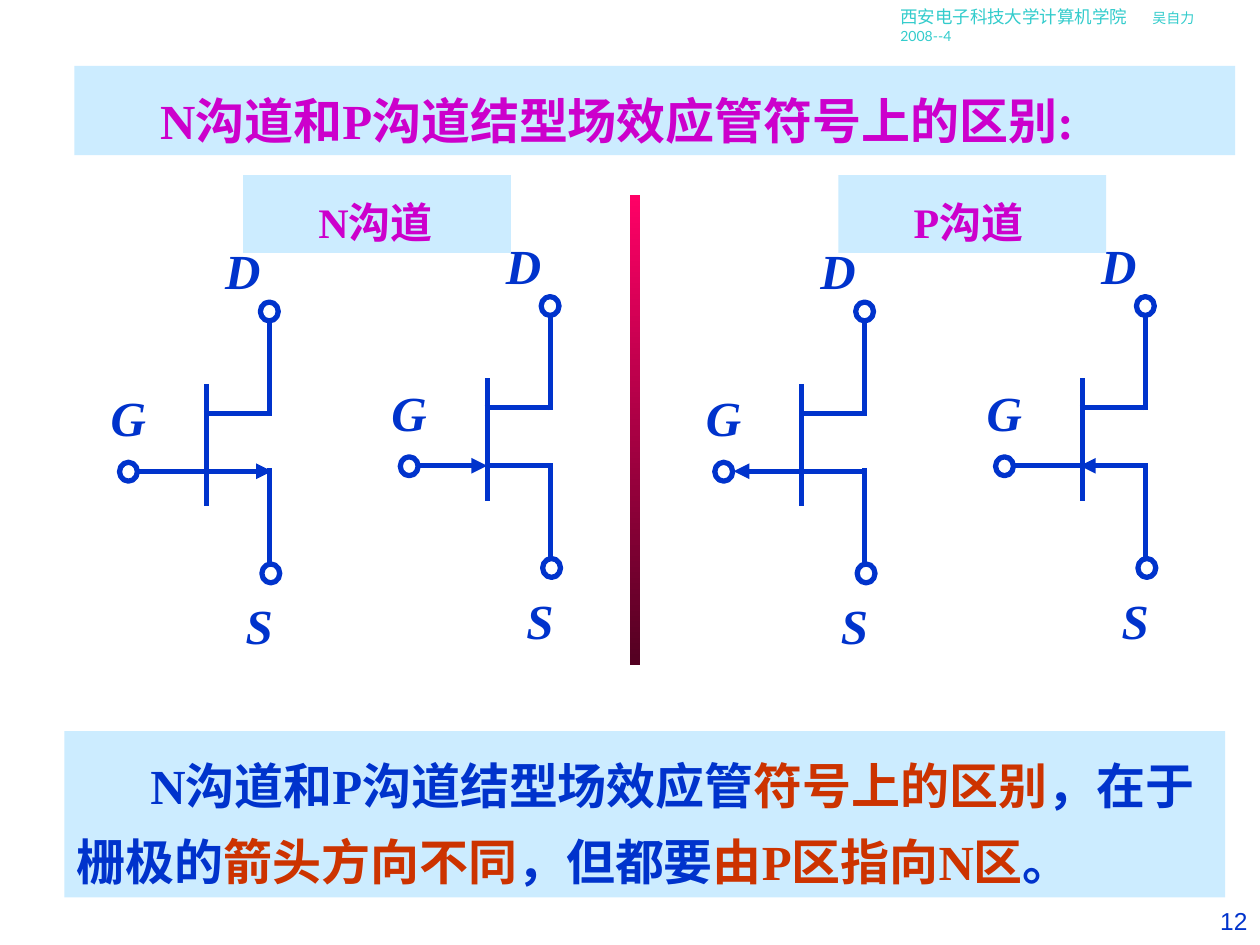
import pptx
import pptx.dml.color
import pptx.enum.shapes
import pptx.enum.text
import pptx.oxml
import pptx.oxml.ns
import pptx.util

Cm = pptx.util.Cm
Pt = pptx.util.Pt
RGBColor = pptx.dml.color.RGBColor
Align = pptx.enum.text.PP_ALIGN
Anchor = pptx.enum.text.MSO_ANCHOR
ShapeType = pptx.enum.shapes.MSO_SHAPE

BLUE = RGBColor(0x00, 0x33, 0xCC)
RED = RGBColor(0xCC, 0x33, 0x00)
MAGENTA = RGBColor(0xCC, 0x00, 0xCC)
TEAL = RGBColor(0x33, 0xCC, 0xCC)
PALE_BLUE = RGBColor(0xCC, 0xEC, 0xFF)
PINK = RGBColor(0xFF, 0x00, 0x66)
WINE = RGBColor(0x53, 0x00, 0x21)

SERIF = {"name": "Times New Roman", "bold": True}
HEADING = {**SERIF, "size": Pt(28)}
SUBHEADING = {**SERIF, "size": Pt(24)}
LETTER = {**HEADING, "italic": True}


def set_attributes(target, values):
    for name, value in values.items():
        setattr(target, name, value)


def write_text(shape, runs, alignment=Align.LEFT, anchor=Anchor.TOP, line_spacing=1.0, indent=0, tabs=()):
    frame = shape.text_frame
    set_attributes(frame, {
        "word_wrap": True, "vertical_anchor": anchor,
        "auto_size": pptx.enum.text.MSO_AUTO_SIZE.NONE,
        "margin_left": Cm(0.25), "margin_right": Cm(0.25),
        "margin_top": Cm(0.13), "margin_bottom": Cm(0.13),
    })
    paragraph = frame.paragraphs[0]
    set_attributes(paragraph, {
        "alignment": alignment, "line_spacing": line_spacing, "space_before": Pt(0),
    })
    properties = paragraph._p.get_or_add_pPr()
    properties.set("indent", str(Cm(indent)))
    if tabs:
        tab_list = pptx.oxml.ns.qn("a:tabLst")
        stops = properties.makeelement(tab_list, {})
        properties.append(stops)
        for position in tabs:
            stop = stops.makeelement(pptx.oxml.ns.qn("a:tab"), {"pos": str(Cm(position)), "algn": "l"})
            stops.append(stop)
    for text, font, color in runs:
        run = paragraph.add_run()
        run.text = text
        set_attributes(run.font, font)
        run.font.color.rgb = color


def add_text(shapes, box, runs, **layout):
    text_box = shapes.add_textbox(*map(Cm, box))
    write_text(text_box, runs, **layout)


def add_panel(shapes, box, runs, indent):
    panel = shapes.add_shape(ShapeType.RECTANGLE, *map(Cm, box))
    panel.shadow.inherit = False
    panel.fill.solid()
    panel.fill.fore_color.rgb = PALE_BLUE
    panel.line.fill.background()
    write_text(panel, runs, line_spacing=1.3, indent=indent)


def place_title(slide, box):
    title = slide.shapes.title
    set_attributes(title, dict(zip(("left", "top", "width", "height"), map(Cm, box))))
    title.fill.solid()
    title.fill.fore_color.rgb = PALE_BLUE
    write_text(title, [("N沟道和P沟道结型场效应管符号上的区别:", HEADING, MAGENTA)],
               line_spacing=1.3, indent=1.48)


def add_divider(shapes, box):
    divider = shapes.add_shape(ShapeType.RECTANGLE, *map(Cm, box))
    divider.shadow.inherit = False
    divider.line.fill.background()
    divider.fill.gradient()
    divider.fill.gradient_angle = 270
    for stop, color, position in zip(divider.fill.gradient_stops, (PINK, WINE), (0, 1)):
        stop.color.rgb = color
        stop.position = position


def add_wire(shapes, start, end, arrow=None):
    wire = shapes.add_connector(pptx.enum.shapes.MSO_CONNECTOR.STRAIGHT, *map(Cm, start + end))
    wire.line.color.rgb = BLUE
    wire.line.width = Pt(3)
    if arrow:
        line = wire.line._get_or_add_ln()
        line.append(line.makeelement(pptx.oxml.ns.qn("a:" + arrow), {"type": "triangle"}))
    properties = wire._element.spPr
    properties.append(properties.makeelement(pptx.oxml.ns.qn("a:effectLst"), {}))


def add_transistor(slide, left, top, arrow_wire, arrow):
    shapes = slide.shapes.add_group_shape().shapes
    wires = {
        "channel": ((2.26, 3.02), (2.26, 5.49)),
        "drain": ((2.21, 3.61), (3.58, 3.61)),
        "drain lead": ((3.53, 3.66), (3.53, 1.7)),
        "source": ((2.21, 4.78), (3.58, 4.78)),
        "source lead": ((3.53, 6.68), (3.53, 4.72)),
        "gate": ((0.89, 4.78), (2.26, 4.78)),
    }
    for name, ends in wires.items():
        start, end = [(left + x, top + y) for x, y in ends]
        add_wire(shapes, start, end, arrow if name == arrow_wire else None)
    for x, y in ((0.51, 4.6), (3.35, 1.37), (3.38, 6.65)):
        terminal = shapes.add_shape(ShapeType.OVAL, Cm(left + x), Cm(top + y), Cm(0.36), Cm(0.38))
        terminal.shadow.inherit = False
        terminal.fill.background()
        terminal.line.color.rgb = BLUE
        terminal.line.width = Pt(3)
    for letter, x, y in (("D", 2.31, 0), ("G", 0, 2.97), ("S", 2.64, 7.16)):
        add_text(shapes, (left + x, top + y, 1.37, 1.45), [(letter, LETTER, BLUE)],
                 alignment=Align.CENTER, anchor=Anchor.MIDDLE)


def add_channel_half(slide, left, top, label, arrows):
    for index, (wire, arrow) in enumerate(arrows):
        add_transistor(slide, left + 5.66 * index, top + 1.19 - 0.11 * index, wire, arrow)
    add_panel(slide.shapes, (left + 3, top, 5.4, 1.57), [(label, SUBHEADING, MAGENTA)], 1.27)


def add_header(shapes, box):
    add_text(shapes, box, [
        ("西安电子科技大学计算机学院\t", {"name": "Lato", "size": Pt(10)}, TEAL),
        ("吴自力\t2008--4", {"name": "Lato", "size": Pt(8)}, TEAL),
    ], tabs=(4.7, 5.77))


def add_conclusion(shapes, box):
    phrases = (
        ("N沟道和P沟道结型场效应管", BLUE), ("符号上的区别", RED), ("，在于栅极的", BLUE),
        ("箭头方向不同", RED), ("，但都要", BLUE), ("由P区指向N区", RED), ("。", BLUE),
    )
    add_panel(shapes, box, [(text, HEADING, color) for text, color in phrases], 1.48)


def main():
    presentation = pptx.Presentation()
    presentation.slide_width = Cm(25.4)
    presentation.slide_height = Cm(19.05)
    slide = presentation.slides.add_slide(presentation.slide_layouts[5])
    place_title(slide, (1.5, 1.33, 23.4, 1.8))
    add_header(slide.shapes, (17.9, 0, 7.5, 1.01))
    add_conclusion(slide.shapes, (1.3, 14.74, 23.4, 3.35))
    add_divider(slide.shapes, (12.7, 3.94, 0.2, 9.47))
    add_channel_half(slide, 1.9, 3.53, "N沟道", (("source", "tailEnd"), ("gate", "tailEnd")))
    add_channel_half(slide, 13.9, 3.53, "P沟道", (("gate", "headEnd"), ("source", "headEnd")))
    add_text(slide.shapes, (22.1, 18.14, 3.3, 0.91),
             [("12", {"name": "Arial", "size": Pt(14)}, BLUE)], alignment=Align.RIGHT)
    presentation.save("out.pptx")


if __name__ == "__main__":
    main()
